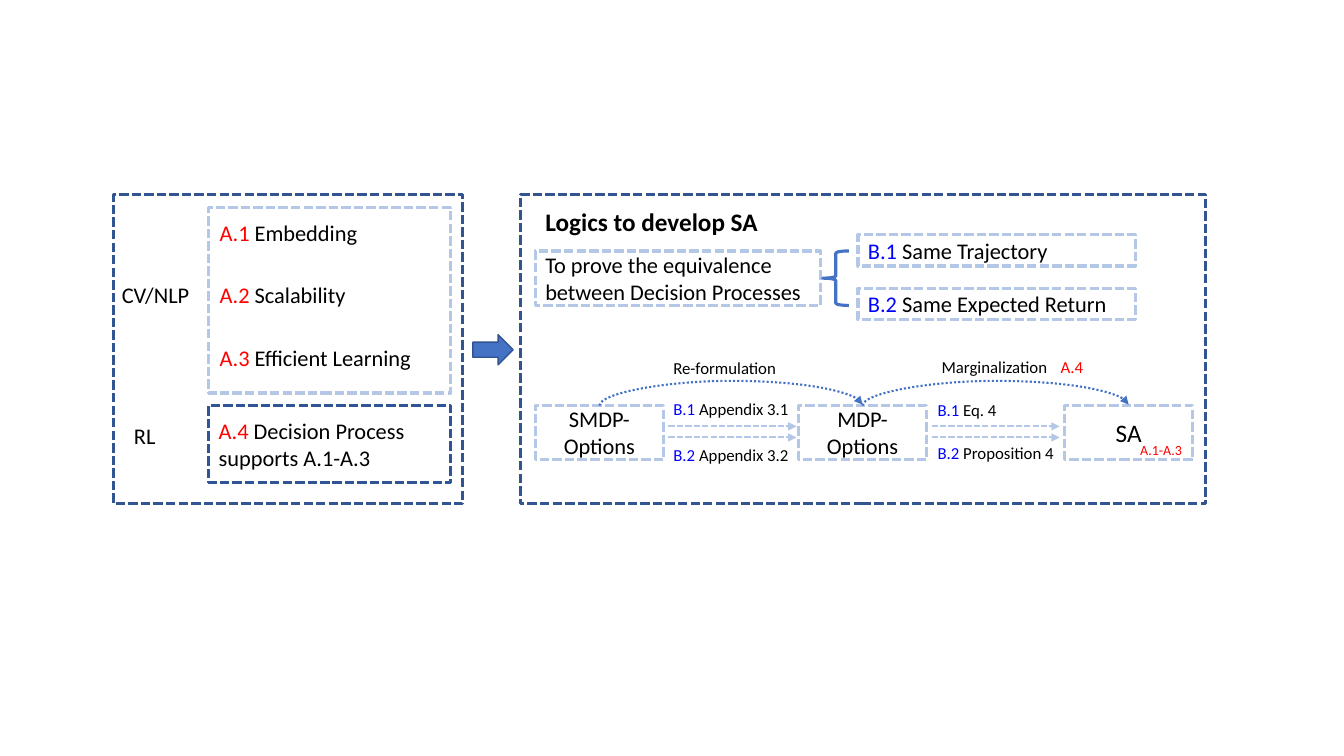
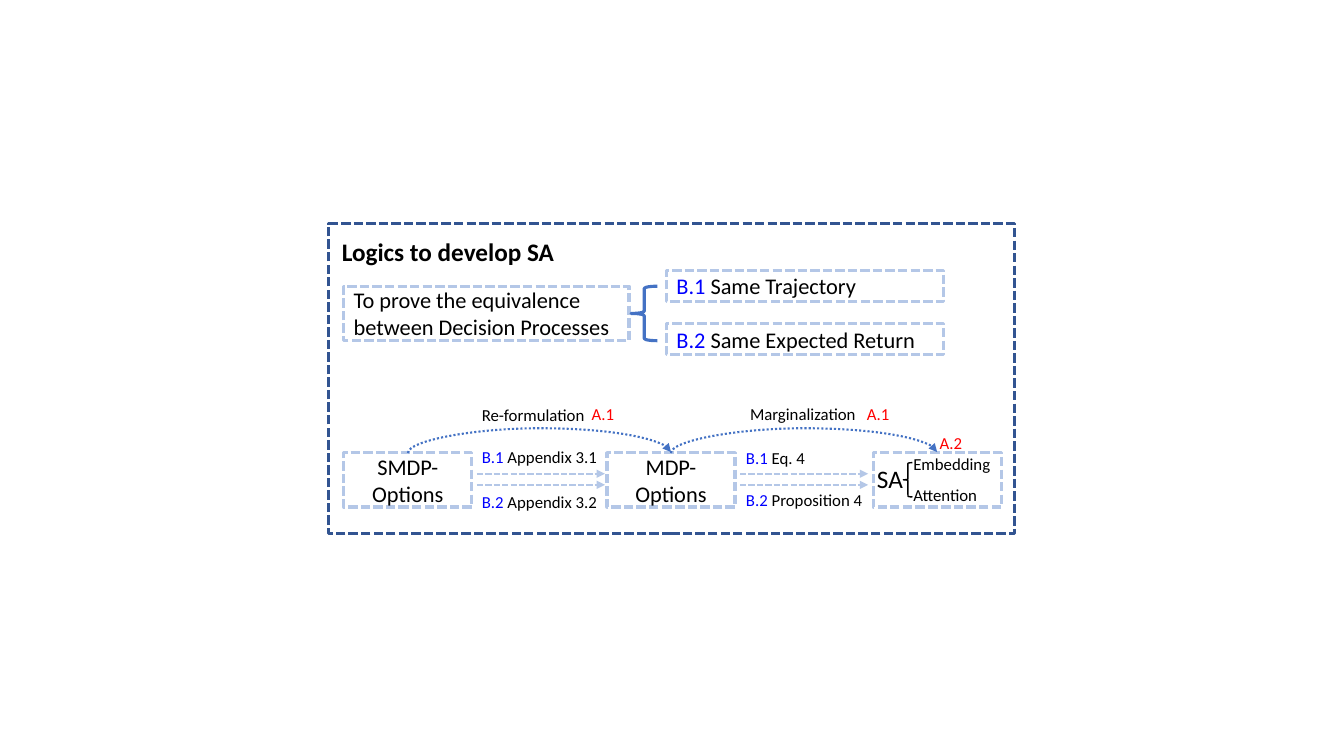
from dataclasses import dataclass
from typing import NamedTuple

from lxml import etree
from pptx import Presentation
from pptx.dml.color import RGBColor
from pptx.enum.dml import MSO_LINE
from pptx.enum.shapes import MSO_CONNECTOR, MSO_SHAPE
from pptx.enum.text import MSO_ANCHOR, MSO_AUTO_SIZE, PP_ALIGN
from pptx.oxml.ns import qn
from pptx.util import Inches, Pt

RECT, BRACE, ARROW = MSO_SHAPE.RECTANGLE, MSO_SHAPE.LEFT_BRACE, MSO_SHAPE.RIGHT_ARROW
LINE, CURVE = MSO_CONNECTOR.STRAIGHT, MSO_CONNECTOR.CURVE
DASH, DOT = MSO_LINE.SQUARE_DOT, MSO_LINE.ROUND_DOT
LEFT, MID = PP_ALIGN.LEFT, PP_ALIGN.CENTER
CENTER, FIXED = MSO_ANCHOR.MIDDLE, MSO_AUTO_SIZE.NONE
TITLE_ONLY = 5


@dataclass(frozen=True)
class Theme:
    """Colours, font and type sizes of both slides."""
    ink: str = "000000"
    red: str = "FF0000"
    blue: str = "0000FF"
    navy: str = "325491"
    deep: str = "2F5597"
    pale: str = "B4C7E7"
    main: str = "4472C4"
    font: str = "Calibri"
    head: int = 18
    body: int = 16
    note: int = 12
    tiny: int = 10


T = Theme()


class Run(NamedTuple):
    """A stretch of text in one colour."""
    text: str
    tint: str = T.ink


class Item(NamedTuple):
    """A text label, or a dashed box when it has an edge colour."""
    x: float
    y: float
    w: float
    h: float
    runs: tuple = ()
    size: int = T.body
    edge: str = ""
    align: PP_ALIGN = LEFT


class Step(NamedTuple):
    """The move from one box of the chain to the next."""
    name: str
    name_x: float
    name_y: float
    x: float
    up: float
    down: float
    first: str
    second: str


class Plan(NamedTuple):
    """Where the parts of the logic panel lie on a slide."""
    left: float
    top: float
    head: float
    claim: float
    chain: float
    last: tuple = ()


BOX_W, BOX_H = 1.27, 0.54
BOX_X = (0.15, 2.76, 5.4)
STEPS = (
    Step("Re-formulation", 1.42, -0.55, 1.42, -0.14, 0.31, "Appendix 3.1", "Appendix 3.2"),
    Step("Marginalization", 4.08, -0.56, 4.04, -0.13, 0.29, "Eq. 4", "Proposition 4"),
)


def color(code: str) -> RGBColor:
    """Turn a hex code into a colour."""
    return RGBColor.from_string(code)


def write(frame, runs: tuple, size: int, align: PP_ALIGN = LEFT, bold: bool = False) -> None:
    """Fill a text frame run by run."""
    frame.word_wrap = True
    frame.auto_size = FIXED
    frame.vertical_anchor = CENTER
    para = frame.paragraphs[0]
    para.alignment = align
    for part in runs:
        run = para.add_run()
        run.text = part.text
        run.font.name = T.font
        run.font.size = Pt(size)
        run.font.bold = bold
        run.font.color.rgb = color(part.tint)


def stroke(line, tint: str, width: float, dash=None) -> None:
    """Set colour, width and dash of a line."""
    line.color.rgb = color(tint)
    line.width = Pt(width)
    if dash is not None:
        line.dash_style = dash


def shape(slide, kind: MSO_SHAPE, x: float, y: float, w: float, h: float,
          tint: str, width: float, dash=None, fill: str = ""):
    """Add a flat preset shape."""
    new = slide.shapes.add_shape(kind, Inches(x), Inches(y), Inches(w), Inches(h))
    new.shadow.inherit = False
    if fill:
        new.fill.solid()
        new.fill.fore_color.rgb = color(fill)
    else:
        new.fill.background()
    stroke(new.line, tint, width, dash)
    return new


def draw(slide, item: Item) -> None:
    """Draw a label or a dashed box."""
    area = item[:4]
    if item.edge:
        new = shape(slide, RECT, *area, item.edge, 2.25, DASH)
    else:
        new = slide.shapes.add_textbox(*map(Inches, area))
    if item.runs:
        write(new.text_frame, item.runs, item.size, item.align)


def link(slide, kind: MSO_CONNECTOR, x1: float, y1: float, x2: float, y2: float,
         tint: str, dash: MSO_LINE):
    """Add a flat connector with an arrowhead."""
    new = slide.shapes.add_connector(kind, Inches(x1), Inches(y1), Inches(x2), Inches(y2))
    stroke(new.line, tint, 1.5, dash)
    props = new.element.spPr
    etree.SubElement(props.find(qn("a:ln")), qn("a:tailEnd"), type="triangle")
    etree.SubElement(props, qn("a:effectLst"))
    return new


def arc(slide, x1: float, x2: float, y: float, rise: float = 0.25) -> None:
    """Bend a dotted arrow over the gap between two box centres."""
    thin = 0.01
    mid, half = (x1 + x2) / 2, (x2 - x1) / 2
    new = link(slide, CURVE, mid + thin / 2, y + half, mid - thin / 2, y - half, T.main, DOT)
    props = new.element.spPr
    props.find(qn("a:xfrm")).set("rot", str(90 * 60000))
    geom = props.find(qn("a:prstGeom"))
    bends = geom.find(qn("a:avLst"))
    if bends is None:
        bends = etree.SubElement(geom, qn("a:avLst"))
    etree.SubElement(bends, qn("a:gd"), name="adj1", fmla=f"val {round(rise / thin * 100000)}")


def claim(slide, left: float, y: float) -> None:
    """Draw the claim, its brace and the two parts it splits into."""
    text = (Run("To prove the equivalence between Decision Processes"),)
    draw(slide, Item(left + 0.15, y, 2.83, BOX_H, text, edge=T.pale))
    shape(slide, BRACE, left + 3, y, 0.26, BOX_H, T.main, 2.25)
    for i, name in enumerate(("Same Trajectory", "Same Expected Return")):
        runs = (Run(f"B.{i + 1} ", T.blue), Run(name))
        draw(slide, Item(left + 3.35, y - 0.16 + i * 0.53, 2.75, 0.31, runs, edge=T.pale))


def chain(slide, left: float, y: float, last: tuple) -> None:
    """Draw the three boxes and the steps between them."""
    texts = ((Run("SMDP-Options"),), (Run("MDP-Options"),), last)
    for i, (x, runs) in enumerate(zip(BOX_X, texts)):
        size = T.head if i == 2 else T.body
        draw(slide, Item(left + x, y, BOX_W, BOX_H, runs, size, T.pale, MID))
    for step, x, end in zip(STEPS, BOX_X, BOX_X[1:]):
        start = left + x + BOX_W + 0.05
        for drop in (0.21, 0.32):
            link(slide, LINE, start, y + drop, start + 1.27, y + drop, T.pale, DASH)
        for tag, drop, name in (("B.1 ", step.up, step.first), ("B.2 ", step.down, step.second)):
            runs = (Run(tag, T.blue), Run(name))
            draw(slide, Item(left + step.x, y + drop, 1.75, 0.36, runs, T.note))
        draw(slide, Item(left + step.name_x, y + step.name_y, 1.75, 0.36,
                         (Run(step.name),), T.note))
        arc(slide, left + x + BOX_W / 2, left + end + BOX_W / 2, y)


def panel(deck, plan: Plan):
    """Add a slide with the titled logic panel."""
    slide = deck.slides.add_slide(deck.slide_layouts[TITLE_ONLY])
    title = slide.shapes.title
    title.left, title.top = Inches(plan.head), Inches(plan.top + 0.07)
    title.width, title.height = Inches(4.03), Inches(0.4)
    write(title.text_frame, (Run("Logics to develop SA"),), T.head, bold=True)
    draw(slide, Item(plan.left, plan.top, 6.8, 3.07, edge=T.navy))
    claim(slide, plan.left, plan.claim)
    chain(slide, plan.left, plan.chain, plan.last)
    return slide


def mark(slide, x: float, y: float, text: str, size: int = T.note) -> None:
    """Add a small red reference."""
    draw(slide, Item(x, y, 0.65, 0.3, (Run(text, T.red),), size))


def needs(deck) -> None:
    """Build the slide that leads from the needs to the logic."""
    slide = panel(deck, Plan(5.16, 1.93, 5.31, 2.49, 4.02, (Run("SA"),)))
    draw(slide, Item(1.13, 1.93, 3.46, 3.07, edge=T.navy))
    draw(slide, Item(2.07, 2.06, 2.4, 1.84, edge=T.pale))
    for i, name in enumerate(("Embedding", "Scalability", "Efficient Learning")):
        runs = (Run(f"A.{i + 1} ", T.red), Run(name))
        draw(slide, Item(2.08, 2.12 + i * 0.62, 2.67, 0.37, runs))
    runs = (Run("A.4 ", T.red), Run("Decision Process supports A.1-A.3"))
    draw(slide, Item(2.07, 4.02, 2.4, 0.77, runs, edge=T.deep))
    draw(slide, Item(1.11, 2.74, 1.48, 0.37, (Run("CV/NLP"),)))
    draw(slide, Item(1.23, 4.14, 0.62, 0.37, (Run("RL"),)))
    shape(slide, ARROW, 4.69, 3.32, 0.4, 0.3, T.navy, 1, fill=T.main)
    mark(slide, 10.42, 3.49, "A.4")
    mark(slide, 11.21, 4.31, "A.1-A.3", T.tiny)


def split(deck) -> None:
    """Build the slide that splits SA into its two parts."""
    slide = panel(deck, Plan(3.26, 2.22, 3.29, 2.84, 4.49))
    for x, y, text in ((5.77, 3.96, "A.1"), (8.5, 3.96, "A.1"), (9.22, 4.24, "A.2")):
        mark(slide, x, y, text)
    draw(slide, Item(8.6, 4.55, 0.6, 0.4, (Run("SA"),), T.head))
    shape(slide, BRACE, 8.96, 4.59, 0.09, 0.34, T.ink, 1)
    for y, name in ((4.45, "Embedding"), (4.76, "Attention")):
        draw(slide, Item(8.96, y, 1.1, 0.3, (Run(name),), T.note))


def main() -> None:
    """Build and save the deck."""
    deck = Presentation()
    deck.slide_width, deck.slide_height = Inches(13.33), Inches(7.5)
    needs(deck)
    split(deck)
    deck.save("out.pptx")


main()
